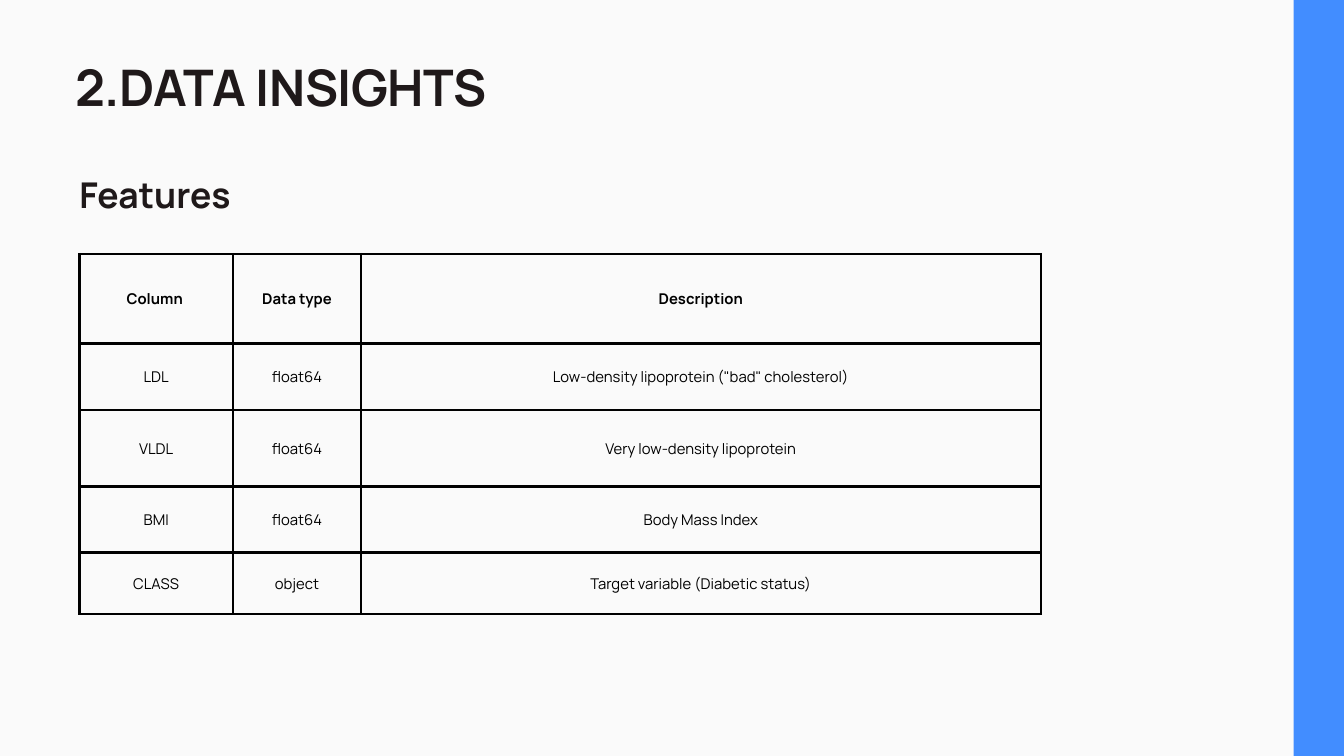
import pptx
import pptx.util
import pptx.dml.color
import pptx.enum.shapes
import pptx.enum.text
import pptx.oxml
import pptx.oxml.ns
from pptx.util import Inches

ALIGN = pptx.enum.text.PP_ALIGN


def color(hex_code):
    return pptx.dml.color.RGBColor.from_string(hex_code)


def write_text(frame, text, size, line_height, ink="1F191A", bold=True,
               align=ALIGN.LEFT, margin=0, spacing=None):
    frame.word_wrap = True
    frame.margin_left = frame.margin_right = Inches(margin)
    frame.margin_top = frame.margin_bottom = Inches(margin)
    para = frame.paragraphs[0]
    para.alignment = align
    para.line_spacing = pptx.util.Pt(line_height)
    span = para.add_run()
    span.text = text
    span.font.name = "Manrope"
    span.font.size = pptx.util.Pt(size)
    span.font.bold = bold
    span.font.color.rgb = color(ink)
    if spacing is not None:
        span.font._element.set("spc", str(int(spacing * 100)))


deck = pptx.Presentation()
deck.slide_width = Inches(20)
deck.slide_height = Inches(11.25)
page = deck.slides.add_slide(deck.slide_layouts[6])
page.background.fill.solid()
page.background.fill.fore_color.rgb = color("FAFAFA")

# Title
title_box = page.shapes.add_textbox(Inches(1.12), Inches(1.04), Inches(11.14), Inches(0.81))
write_text(title_box.text_frame, "2.DATA INSIGHTS", 54, 50.2,
           align=ALIGN.JUSTIFY, spacing=-0.5)

# Blue band bleeding off the right edge
band = page.shapes.add_shape(pptx.enum.shapes.MSO_SHAPE.RECTANGLE,
                             Inches(19.25), Inches(-0.52), Inches(3.38), Inches(12.28))
band.shadow.inherit = False
band.fill.solid()
band.fill.fore_color.rgb = color("428DFF")
band.line.fill.background()

# Subtitle
subtitle_box = page.shapes.add_textbox(Inches(1.18), Inches(2.1), Inches(16.7), Inches(1.03))
write_text(subtitle_box.text_frame, "Features", 38, 80.2)

# Feature table
features = [
    ("Column ", "Data type", "Description"),
    ("LDL", "float64", 'Low-density lipoprotein ("bad" cholesterol)'),
    ("VLDL", "float64", "Very low-density lipoprotein"),
    ("BMI", "float64", "Body Mass Index"),
    ("CLASS", "object", "Target variable (Diabetic status)"),
]
column_widths = [2.29, 1.9, 10.12]
row_heights = [1.33, 0.99, 1.14, 0.98, 0.92]
table = page.shapes.add_table(len(row_heights), len(column_widths), Inches(1.18), Inches(3.78),
                              Inches(sum(column_widths)), Inches(sum(row_heights))).table
table.first_row = False
table.horz_banding = False
for column, width in zip(table.columns, column_widths):
    column.width = Inches(width)
for row, height in zip(table.rows, row_heights):
    row.height = Inches(height)

for row_index, feature in enumerate(features):
    for column_index, text in enumerate(feature):
        cell = table.cell(row_index, column_index)
        write_text(cell.text_frame, text, 15.9, 22.3, ink="000000",
                   bold=row_index == 0, align=ALIGN.CENTER)
        cell.margin_left = cell.margin_right = Inches(0.21)
        cell.margin_top = cell.margin_bottom = Inches(0.21)
        cell.vertical_anchor = pptx.enum.text.MSO_ANCHOR.MIDDLE
        # Black 3 pt border on every side
        properties = cell._tc.get_or_add_tcPr()
        for side in ("lnL", "lnR", "lnT", "lnB"):
            properties.append(pptx.oxml.parse_xml(
                f'<a:{side} {pptx.oxml.ns.nsdecls("a")} w="{pptx.util.Pt(3)}">'
                '<a:solidFill><a:srgbClr val="000000"/></a:solidFill>'
                f'</a:{side}>'))
        cell.fill.background()

deck.save("out.pptx")
